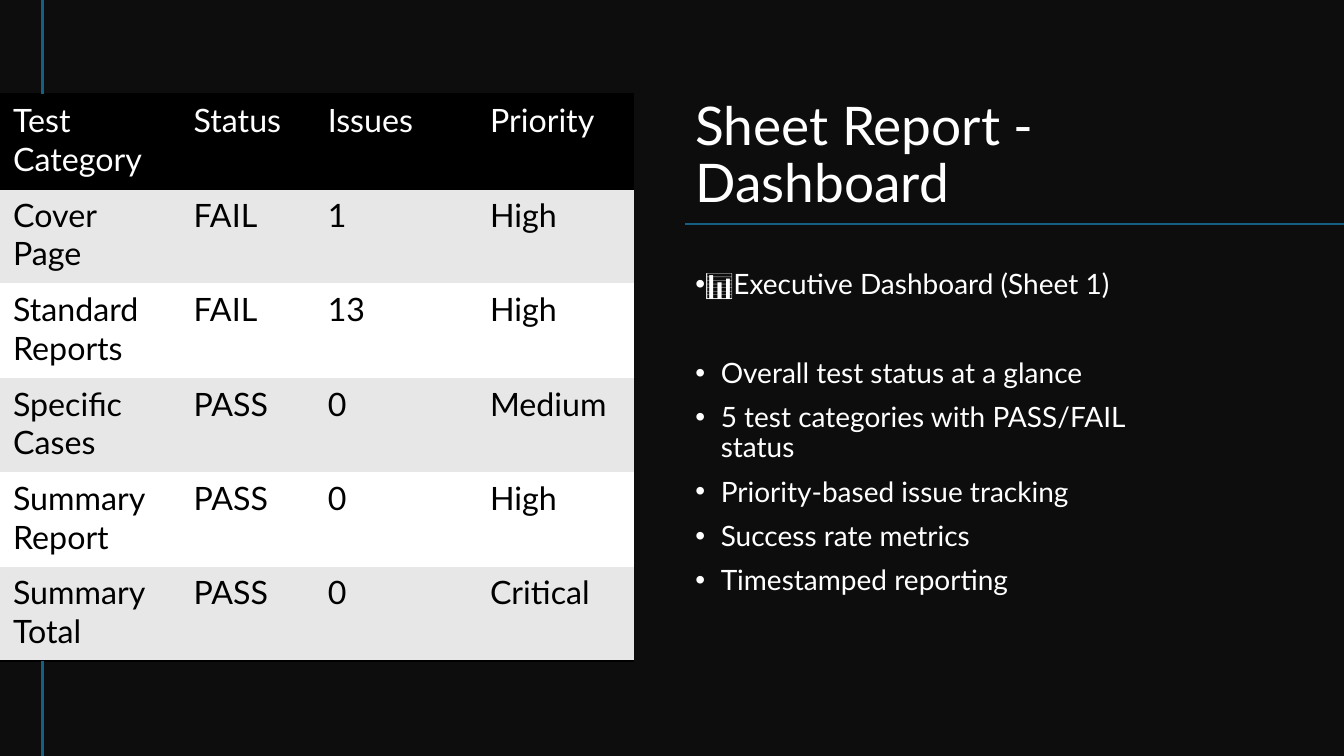
from lxml import etree
from pptx import Presentation
from pptx.dml.color import RGBColor
from pptx.enum.shapes import MSO_CONNECTOR
from pptx.enum.text import MSO_ANCHOR, MSO_AUTO_SIZE, PP_ALIGN
from pptx.oxml.ns import qn
from pptx.util import Cm, Pt

STRAIGHT = MSO_CONNECTOR.STRAIGHT
TOP, BOTTOM = MSO_ANCHOR.TOP, MSO_ANCHOR.BOTTOM
NO_AUTOFIT = MSO_AUTO_SIZE.NONE
LEFT = PP_ALIGN.LEFT

SLIDE_WIDTH, SLIDE_HEIGHT = 33.87, 19.05
TEXT_LEFT, TEXT_WIDTH = 17.27, 12.88
RULE_LEFT, RULE_TOP = 1.07, 5.64
TABLE_TOP, ROW_HEIGHT = 2.38, 2.38
COLUMN_WIDTHS = [4.55, 3.38, 4.09, 3.95]
BULLET_INDENT = 0.64
PLAIN_TABLE_STYLE = "{2D5ABB26-0587-4C30-8999-92F81FD0307C}"

RESULTS = [
    ["Test Category", "Status", "Issues", "Priority"],
    ["Cover Page", "FAIL", "1", "High"],
    ["Standard Reports", "FAIL", "13", "High"],
    ["Specific Cases", "PASS", "0", "Medium"],
    ["Summary Report", "PASS", "0", "High"],
    ["Summary Total", "PASS", "0", "Critical"],
]
HEADING = "📊Executive Dashboard (Sheet 1)"
FEATURES = [
    "Overall test status at a glance",
    "5 test categories with PASS/FAIL status",
    "Priority-based issue tracking",
    "Success rate metrics",
    "Timestamped reporting",
]


def color(hex_string):
    return RGBColor.from_string(hex_string)


class DashboardSlide:
    FONT = "Lato"
    DARK, LIGHT, BLACK = "0D0D0D", "FFFFFF", "000000"
    BAND, ACCENT = "E7E7E7", "156082"

    def __init__(self, presentation):
        self.slide = presentation.slides.add_slide(presentation.slide_layouts[1])
        background = self.slide.background.fill
        background.solid()
        background.fore_color.rgb = color(self.DARK)

    def format_paragraph(self, paragraph, size, hex_string):
        for run in paragraph.runs:
            run.font.name = self.FONT
            run.font.size = Pt(size)
            run.font.color.rgb = color(hex_string)

    def place(self, shape, top, height, anchor):
        """Move a placeholder into the text column and fix its frame."""
        shape.left, shape.top = Cm(TEXT_LEFT), Cm(top)
        shape.width, shape.height = Cm(TEXT_WIDTH), Cm(height)
        shape.text_frame.word_wrap = True
        shape.text_frame.auto_size = NO_AUTOFIT
        shape.text_frame.vertical_anchor = anchor

    def title(self, text, top, height):
        shape = self.slide.shapes.title
        self.place(shape, top, height, BOTTOM)
        shape.text_frame.text = text
        paragraph = shape.text_frame.paragraphs[0]
        paragraph.alignment = LEFT
        paragraph.line_spacing = 0.9
        self.format_paragraph(paragraph, 38, self.LIGHT)

    def bullets(self, heading, items, top, height):
        """Fill the body with a flush heading and hanging items, set apart by a gap."""
        shape = self.slide.placeholders[1]
        self.place(shape, top, height, TOP)
        shape.text_frame.text = "\n".join([heading, *items])
        for index, paragraph in enumerate(shape.text_frame.paragraphs):
            indent = Cm(BULLET_INDENT) if index else 0
            properties = paragraph._p.get_or_add_pPr()
            properties.set("marL", str(indent))
            properties.set("indent", str(-indent))
            etree.SubElement(properties, qn("a:buFont")).set("typeface", "Arial")
            etree.SubElement(properties, qn("a:buChar")).set("char", "•")
            paragraph.line_spacing = 0.9
            paragraph.space_before = Pt({0: 0, 1: 42}.get(index, 10))
            self.format_paragraph(paragraph, 20, self.LIGHT)

    def line(self, x1, y1, x2, y2):
        connector = self.slide.shapes.add_connector(
            STRAIGHT, Cm(x1), Cm(y1), Cm(x2), Cm(y2))
        connector.line.color.rgb = color(self.ACCENT)
        connector.line.width = Pt(1.5)
        etree.SubElement(connector._element.spPr, qn("a:effectLst"))

    def border(self, cell, sides):
        properties = cell._tc.get_or_add_tcPr()
        for position, side in enumerate(sides):
            line = etree.Element(qn(f"a:ln{side}"), w=str(Pt(2)))
            fill = etree.SubElement(line, qn("a:solidFill"))
            etree.SubElement(fill, qn("a:srgbClr")).set("val", self.BLACK)
            properties.insert(position, line)

    def table(self, rows, top):
        frame = self.slide.shapes.add_table(
            len(rows), len(COLUMN_WIDTHS), 0, Cm(top),
            Cm(sum(COLUMN_WIDTHS)), Cm(ROW_HEIGHT * len(rows)))
        table = frame.table
        table.horz_banding = False
        table._tbl.tblPr.find(qn("a:tableStyleId")).text = PLAIN_TABLE_STYLE
        for column, width in zip(table.columns, COLUMN_WIDTHS):
            column.width = Cm(width)
        border_sides = {0: "TB", len(rows) - 1: "B"}
        for row_index, texts in enumerate(rows):
            table.rows[row_index].height = Cm(ROW_HEIGHT)
            fill = self.BAND if row_index % 2 else self.LIGHT
            if row_index == 0:
                fill = self.BLACK
            text_color = self.BLACK if row_index else self.LIGHT
            for column_index, text in enumerate(texts):
                cell = table.cell(row_index, column_index)
                cell.text_frame.text = text
                cell.margin_left = cell.margin_right = Cm(0.33)
                cell.margin_top = cell.margin_bottom = Cm(0.16)
                cell.fill.solid()
                cell.fill.fore_color.rgb = color(fill)
                self.border(cell, border_sides.get(row_index, ""))
                self.format_paragraph(cell.text_frame.paragraphs[0], 23, text_color)


def main():
    presentation = Presentation()
    presentation.slide_width = Cm(SLIDE_WIDTH)
    presentation.slide_height = Cm(SLIDE_HEIGHT)

    dashboard = DashboardSlide(presentation)
    dashboard.title("Sheet Report - Dashboard", top=1.85, height=3.68)
    dashboard.bullets(HEADING, FEATURES, top=6.68, height=9.55)
    dashboard.table(RESULTS, TABLE_TOP)

    table_bottom = TABLE_TOP + ROW_HEIGHT * len(RESULTS)
    dashboard.line(TEXT_LEFT, RULE_TOP, SLIDE_WIDTH, RULE_TOP)
    dashboard.line(RULE_LEFT, 0, RULE_LEFT, TABLE_TOP)
    dashboard.line(RULE_LEFT, table_bottom, RULE_LEFT, SLIDE_HEIGHT)
    presentation.save("out.pptx")


if __name__ == "__main__":
    main()
